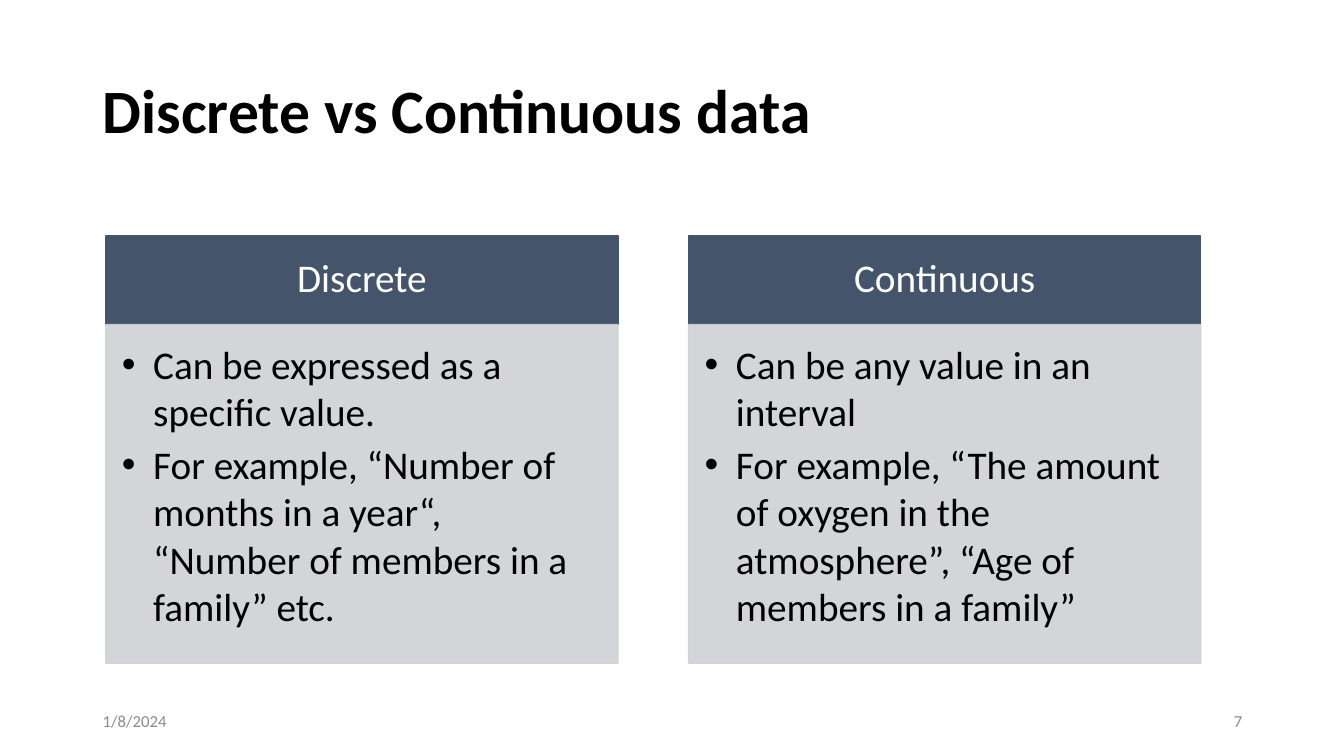
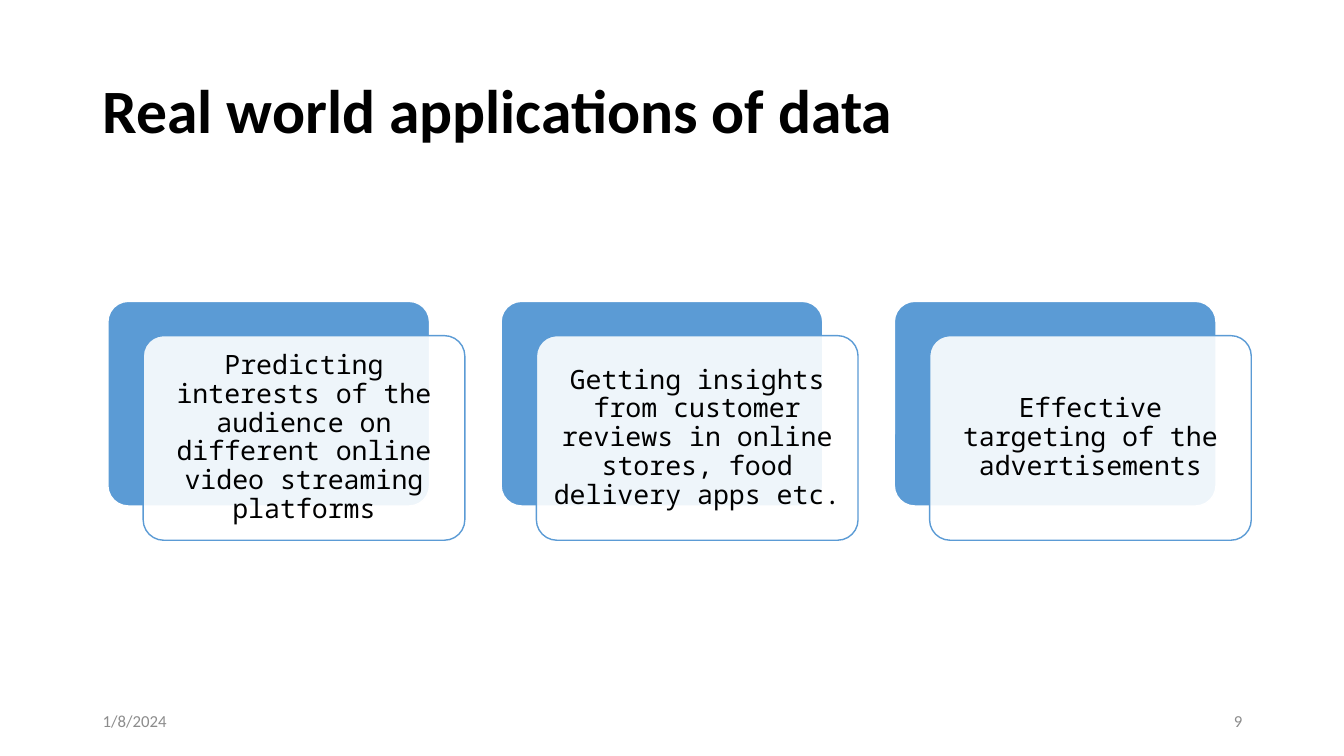
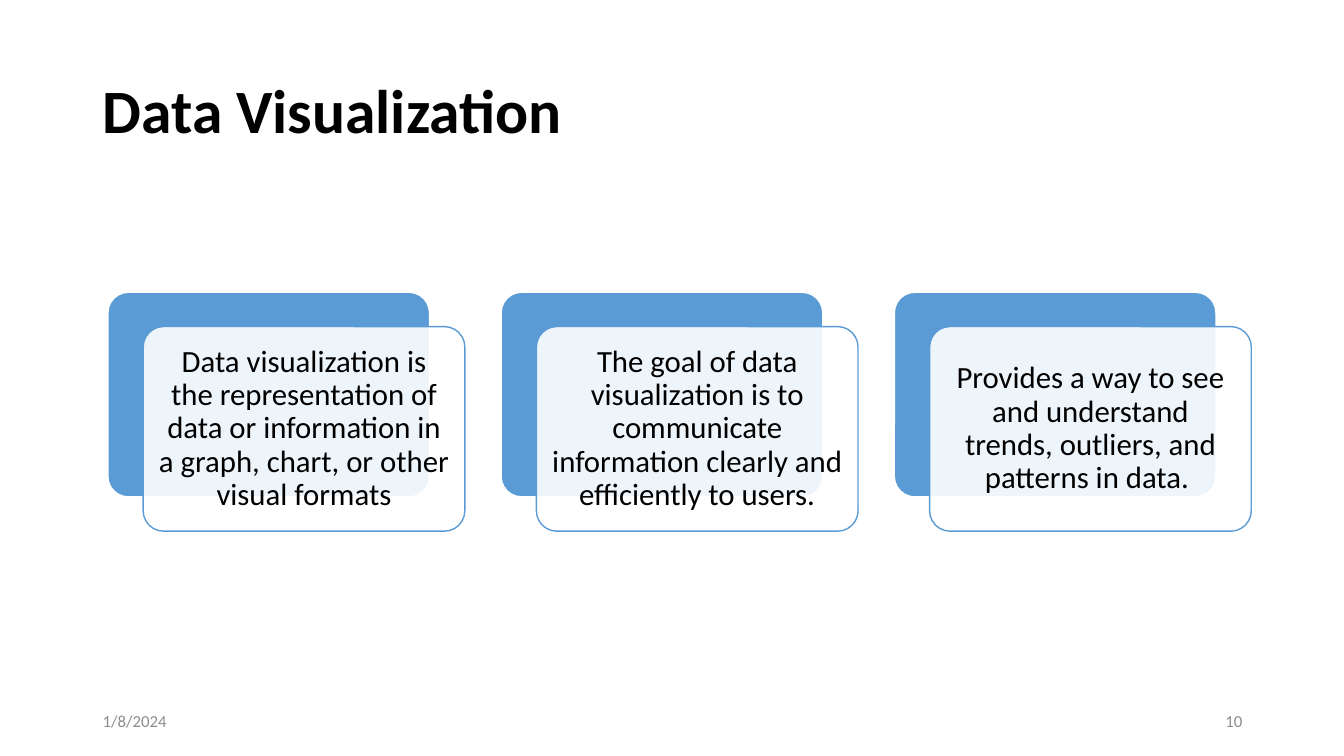
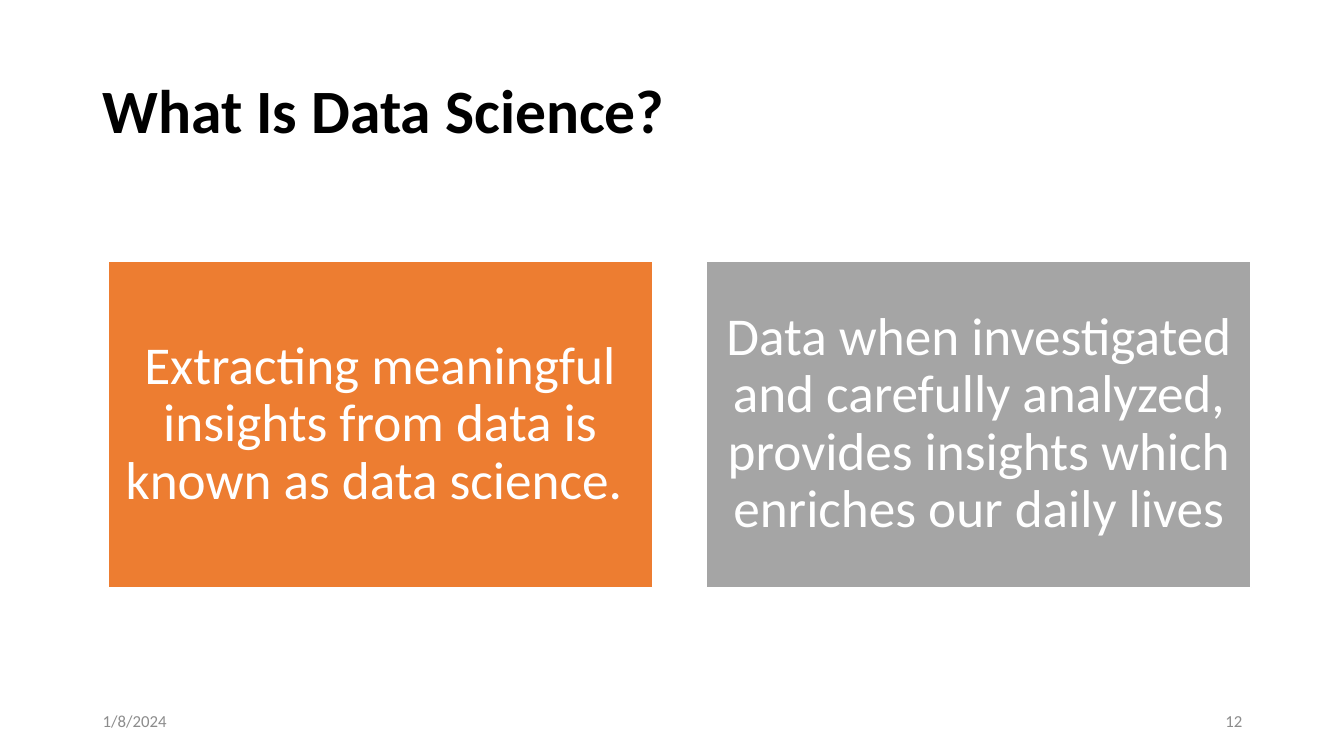
from pptx import Presentation
from pptx.dml.color import RGBColor
from pptx.enum.shapes import MSO_SHAPE
from pptx.enum.text import MSO_ANCHOR, PP_ALIGN
from pptx.oxml.ns import qn
from pptx.util import Inches, Pt
from lxml import etree

RECT, ROUND = MSO_SHAPE.RECTANGLE, MSO_SHAPE.ROUNDED_RECTANGLE
TOP, MID = MSO_ANCHOR.TOP, MSO_ANCHOR.MIDDLE
LEFT, MIDDLE, RIGHT = PP_ALIGN.LEFT, PP_ALIGN.CENTER, PP_ALIGN.RIGHT

HUE = {
    "ink": "000000", "paper": "FFFFFF", "mute": "8C8C8C",
    "navy": "44546A", "pale": "CFD1D4", "blue": "5B9BD5",
    "orange": "ED7D31", "gray": "A5A5A5",
}
SANS, MONO = "Calibri", "Noto Sans Mono"
WIDE, HIGH = 13.33, 7.5
EDGE, SPAN = 0.92, 11.5
DATE = "1/8/2024"

KINDS = [
    ("Discrete", [
        "Can be expressed as a specific value.",
        "For example, “Number of months in a year“, “Number of members in a family” etc.",
    ]),
    ("Continuous", [
        "Can be any value in an interval",
        "For example, “The amount of oxygen in the atmosphere”, “Age of members in a family”",
    ]),
]
USES = [
    "Predicting interests of the audience on different online video streaming platforms",
    "Getting insights from customer reviews in online stores, food delivery apps etc.",
    "Effective targeting of the advertisements",
]
GOALS = [
    "Data visualization is the representation of data or information in a graph, chart, or other visual formats",
    "The goal of data visualization is to communicate information clearly and efficiently to users.",
    "Provides a way to see and understand trends, outliers, and patterns in data. ",
]
FACTS = [
    ("Extracting meaningful insights from data is known as data science. ", "orange"),
    ("Data when investigated and carefully analyzed, provides insights which enriches our daily lives", "gray"),
]


def rgb(name):
    return RGBColor.from_string(HUE[name])


def write(shape, text, size=28, color="ink", font=SANS, bold=False, align=LEFT,
          anchor=MID, pad=(0.1, 0.05, 0.1, 0.05), lead=1.0, after=0, hang=0):
    frame = shape.text_frame
    frame.word_wrap = True
    frame.vertical_anchor = anchor
    (frame.margin_left, frame.margin_top,
     frame.margin_right, frame.margin_bottom) = map(Inches, pad)
    lines = [text] if isinstance(text, str) else text
    for i, line in enumerate(lines):
        para = frame.add_paragraph() if i else frame.paragraphs[0]
        para.alignment, para.line_spacing = align, lead
        para.space_after = Pt(after)
        run = para.add_run()
        run.text = line
        run.font.size, run.font.name, run.font.bold = Pt(size), font, bold
        run.font.color.rgb = rgb(color)
        if hang:
            props = para._p.get_or_add_pPr()
            props.set("marL", str(Inches(hang)))
            props.set("indent", str(-Inches(hang)))
            etree.SubElement(props, qn("a:buFont")).set("typeface", "Arial")
            etree.SubElement(props, qn("a:buChar")).set("char", "•")


def label(slide, box, text, **style):
    write(slide.shapes.add_textbox(*map(Inches, box)), text, **style)


def block(slide, box, fill, line, form=RECT, sheer=()):
    shape = slide.shapes.add_shape(form, *map(Inches, box))
    shape.shadow.inherit = False
    shape.fill.solid()
    shape.fill.fore_color.rgb = rgb(fill)
    shape.line.color.rgb = rgb(line)
    shape.line.width = Pt(1)
    if form == ROUND:
        shape.adjustments[0] = 0.1
    for part in sheer:
        tone = shape.element.spPr.find(part + qn("a:solidFill"))[0]
        etree.SubElement(tone, qn("a:alpha")).set("val", "90000")
    return shape


FILL, LINE = "", qn("a:ln") + "/"


def start(deck, title, page):
    slide = deck.slides.add_slide(deck.slide_layouts[6])
    label(slide, (EDGE, 0.4, SPAN, 1.45), title, size=44, bold=True, lead=0.9)
    for left, text, align in ((EDGE, DATE, LEFT), (EDGE + SPAN - 3, str(page), RIGHT)):
        label(slide, (left, 6.95, 3, 0.4), text, size=12, color="mute", align=align)
    return slide


def panels(slide, items):
    left, top, wide, head, body, step = 1.05, 2.34, 5.08, 0.88, 3.36, 5.78
    for i, (name, points) in enumerate(items):
        x = left + i * step
        bar = block(slide, (x, top, wide, head), "navy", "navy")
        write(bar, name, color="paper", align=MIDDLE, lead=0.9,
              pad=(0.22, 0.12, 0.22, 0.12))
        area = block(slide, (x, top + head, wide, body), "pale", "pale",
                     sheer=(FILL, LINE))
        write(area, points, anchor=TOP, after=4.2, hang=0.31,
              pad=(0.16, 0.16, 0.22, 0.24))


def cards(slide, items, top, pad, **style):
    left, wide, high, step = 1.07, 3.19, 2.03, 3.9
    for i, text in enumerate(items):
        x = left + i * step
        block(slide, (x, top, wide, high), "blue", "paper", ROUND)
        card = block(slide, (x + 0.35, top + 0.34, wide, high), "paper", "blue",
                     ROUND, sheer=(FILL,))
        write(card, text, align=MIDDLE, lead=0.9, pad=(pad,) * 4, **style)


def tiles(slide, items):
    left, top, wide, high, step = 1.07, 2.59, 5.4, 3.24, 5.94
    for i, (text, fill) in enumerate(items):
        tile = block(slide, (left + i * step, top, wide, high), fill, "paper")
        write(tile, text, size=38, color="paper", align=MIDDLE, lead=0.9,
              pad=(0.16,) * 4)


def main():
    deck = Presentation()
    deck.slide_width, deck.slide_height = Inches(WIDE), Inches(HIGH)
    panels(start(deck, "Discrete vs Continuous data", 7), KINDS)
    cards(start(deck, "Real world applications of data", 9), USES,
          2.99, 0.08, size=19, font=MONO)
    cards(start(deck, "Data Visualization", 10), GOALS, 2.9, 0.09, size=22)
    tiles(start(deck, "What Is Data Science?", 12), FACTS)
    deck.save("out.pptx")


if __name__ == "__main__":
    main()
